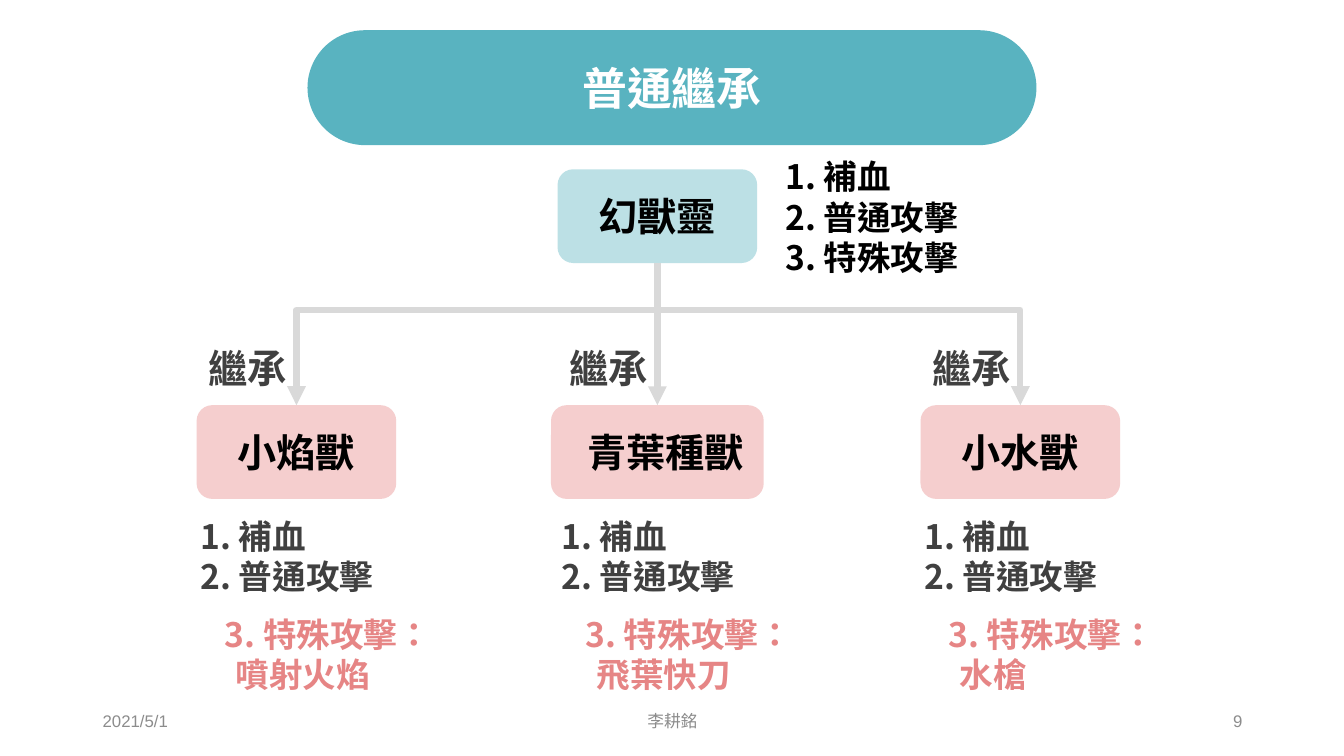
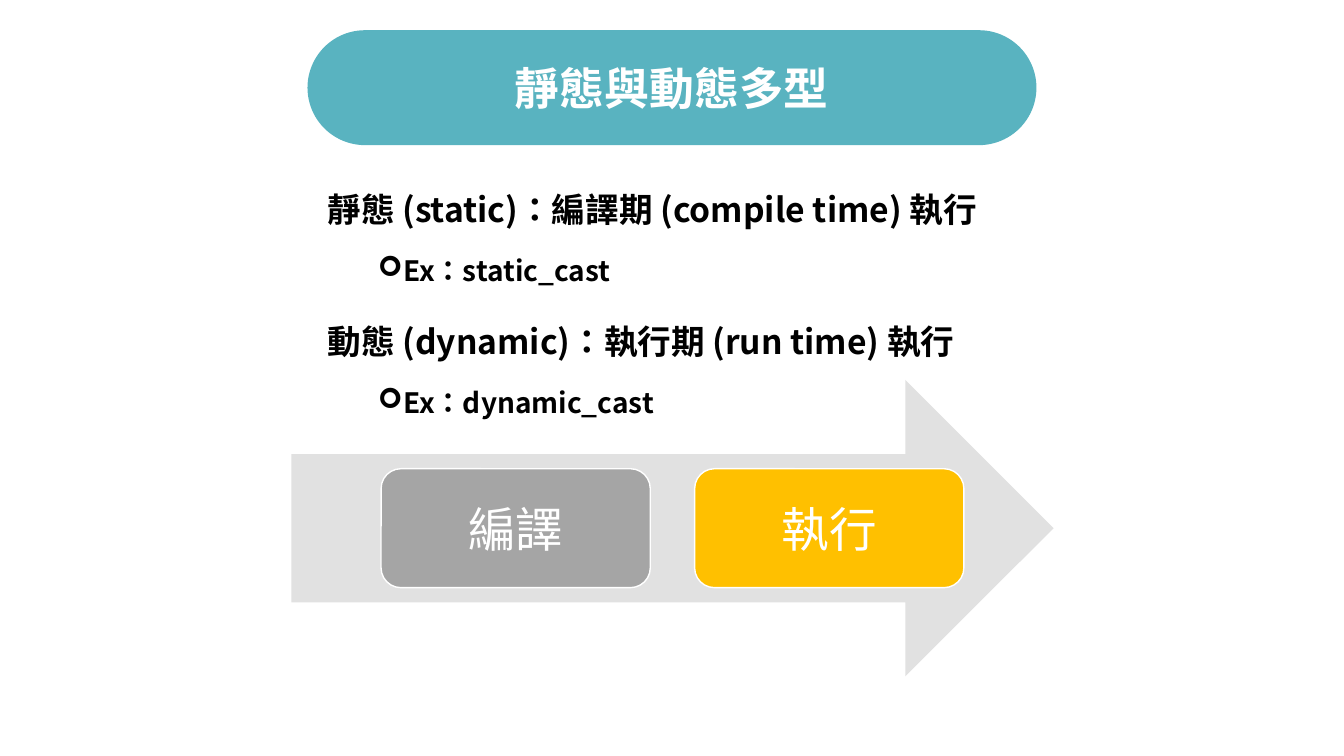
from lxml import etree
from pptx import Presentation
from pptx.dml.color import RGBColor
from pptx.enum import shapes, text
from pptx.oxml import ns
from pptx.util import Inches, Pt

FONT = "Noto Sans CJK TC"
TEAL, ROSE, INK, DARK = "59B3C0", "E68585", "000000", "404040"
WHITE, PALE, MUTED, ARROW = "FFFFFF", "D9D9D9", "8C8C8C", "E1E1E1"
LEFT, CENTER, RIGHT = text.PP_ALIGN.LEFT, text.PP_ALIGN.CENTER, text.PP_ALIGN.RIGHT
TOP, MIDDLE = text.MSO_ANCHOR.TOP, text.MSO_ANCHOR.MIDDLE
ROUNDED = shapes.MSO_SHAPE.ROUNDED_RECTANGLE

FOOTERS = [("2021/5/1", 0.92, 3, LEFT), ("李耕銘", 4.42, 4.5, CENTER), ("9", 9.42, 3, RIGHT)]
SKILLS = ["1. 補血", "2. 普通攻擊", "3. 特殊攻擊"]
PARENT = "幻獸靈"
CHILDREN = [
    {"name": "小焰獸", "center": 2.94, "width": 1.98, "inset": 0.1, "skill": "噴射火焰"},
    {"name": "青葉種獸", "center": 6.52, "width": 2.11, "inset": 0.26, "skill": "飛葉快刀"},
    {"name": "小水獸", "center": 10.12, "width": 1.98, "inset": 0.1, "skill": "水槍"},
]
BINDINGS = [
    ("靜態 (static)：編譯期 (compile time) 執行", "Ex：static_cast"),
    ("動態 (dynamic)：執行期 (run time) 執行", "Ex：dynamic_cast"),
]
STAGES = [("編譯", "A5A5A5"), ("執行", "FFC000")]


def color(value):
    return RGBColor.from_string(value)


def add_xml(parent, tag, **attributes):
    return etree.SubElement(parent, ns.qn(tag), **attributes)


def write(para, words, size, ink, bold=True, font=FONT, asian=FONT, align=LEFT):
    para.alignment = align
    span = para.add_run()
    span.text = words
    span.font.size, span.font.bold, span.font.name = Pt(size), bold, font
    span.font.color.rgb = color(ink)
    properties = span.font._element
    properties.set("lang", "zh-TW")
    add_xml(properties, "a:ea", typeface=asian)


def add_text(page, area, lines, size, ink, anchor=TOP, **style):
    box = page.shapes.add_textbox(*map(Inches, area))
    frame = box.text_frame
    frame.word_wrap, frame.vertical_anchor = True, anchor
    for index, line in enumerate(lines):
        para = frame.add_paragraph() if index else frame.paragraphs[0]
        write(para, line, size, ink, **style)
    return frame


def add_block(page, kind, area, fill, alpha=None, outline=None):
    block = page.shapes.add_shape(kind, *map(Inches, area))
    block.shadow.inherit = False
    block.fill.solid()
    block.fill.fore_color.rgb = color(fill)
    if alpha:
        shade = block._element.spPr.find(ns.qn("a:solidFill"))[0]
        add_xml(shade, "a:alpha", val=str(alpha * 1000))
    if outline:
        block.line.color.rgb = color(outline)
        block.line.width = Pt(1)
    else:
        block.line.fill.background()
    block.text_frame.vertical_anchor = MIDDLE
    return block


def add_page(deck, title):
    page = deck.slides.add_slide(deck.slide_layouts[6])
    band = add_block(page, ROUNDED, (3.05, 0.3, 7.23, 1.14), TEAL)
    band.adjustments[0] = 0.5
    write(band.text_frame.paragraphs[0], title, 32, WHITE, font="Calibri", align=CENTER)
    return page


def add_card(page, name, center, top, width, fill, inset=0.1):
    card = add_block(page, ROUNDED, (center - width / 2, top, width, 0.93), fill, alpha=40)
    card.text_frame.margin_left = Inches(inset)
    write(card.text_frame.paragraphs[0], name, 28, INK, align=CENTER)
    return card


def add_branch(page, parent, child):
    start_x, start_y = parent.left + parent.width // 2, parent.top + parent.height
    end_x, end_y = child.left + child.width // 2, child.top
    across, down = end_x - start_x, end_y - start_y
    straight = abs(across) < Inches(0.05)
    kind = shapes.MSO_CONNECTOR.STRAIGHT if straight else shapes.MSO_CONNECTOR.ELBOW
    branch = page.shapes.add_connector(kind, start_x, start_y, end_x, end_y)
    branch.begin_connect(parent, 2)
    branch.end_connect(child, 0)
    properties = branch._element.spPr
    if not straight:
        branch.left = (start_x + end_x - down) // 2
        branch.top = (start_y + end_y - abs(across)) // 2
        branch.width, branch.height = down, abs(across)
        frame = properties.find(ns.qn("a:xfrm"))
        frame.set("rot", str((90 if across < 0 else 270) * 60000))
        frame.set("flipH", "0" if across < 0 else "1")
        guides = properties.find(ns.qn("a:prstGeom")).find(ns.qn("a:avLst"))
        add_xml(guides, "a:gd", name="adj1", fmla="val 33000")
    branch.line.color.rgb = color(PALE)
    branch.line.width = Pt(4.5)
    add_xml(properties.find(ns.qn("a:ln")), "a:tailEnd", type="triangle")
    add_xml(properties, "a:effectLst")


def build_inheritance(deck):
    page = add_page(deck, "普通繼承")
    for words, left, width, align in FOOTERS:
        add_text(page, (left, 6.95, width, 0.4), [words], 12, MUTED, MIDDLE,
                 bold=False, font="Arial", align=align)
    parent = add_card(page, PARENT, 6.52, 1.68, 1.98, TEAL)
    add_text(page, (7.69, 1.55, 2.44, 1.2), SKILLS, 24, INK, MIDDLE)
    for child in CHILDREN:
        center = child["center"]
        card = add_card(page, child["name"], center, 4.02, child["width"], ROSE, child["inset"])
        add_branch(page, parent, card)
        add_text(page, (center - 0.97, 3.37, 0.99, 0.57), ["繼承"], 28, DARK)
        add_text(page, (center - 1.05, 4.99, 2.3, 1.05), SKILLS[:2], 24, DARK, MIDDLE)
        special = add_text(page, (center - 0.81, 6.04, 2.5, 0.91),
                           [SKILLS[2] + "：", child["skill"]], 24, ROSE)
        special.paragraphs[1]._p.get_or_add_pPr().set("marL", str(Inches(0.11)))


def build_polymorphism(deck):
    page = add_page(deck, "靜態與動態多型")
    add_block(page, shapes.MSO_SHAPE.RIGHT_ARROW, (2.89, 3.77, 7.56, 2.94), ARROW)
    lines = [line for pair in BINDINGS for line in pair]
    frame = add_text(page, (3.15, 1.63, 9.71, 4.54), lines, 24, INK)
    for index, para in enumerate(frame.paragraphs):
        example = index % 2 == 1
        para.line_spacing = 1.5
        para.space_before = Pt(5 if example else 10)
        if example:
            para.runs[0].font.size = Pt(20)
            properties = para._p.get_or_add_pPr()
            properties.set("marL", str(Inches(0.75)))
            properties.set("indent", str(Inches(-0.25)))
            add_xml(properties, "a:buFont", typeface="Wingdings")
            add_xml(properties, "a:buChar", char="➢")
    for index, (name, fill) in enumerate(STAGES):
        stage = add_block(page, ROUNDED, (3.78 + 3.11 * index, 4.65, 2.67, 1.18),
                          fill, outline=WHITE)
        write(stage.text_frame.paragraphs[0], name, 34, WHITE, bold=False,
              font="Noto Sans CJK SC", asian="Noto Sans CJK SC", align=CENTER)


def main():
    deck = Presentation()
    deck.slide_width, deck.slide_height = Inches(13.33), Inches(7.5)
    build_inheritance(deck)
    build_polymorphism(deck)
    deck.save("out.pptx")


if __name__ == "__main__":
    main()
